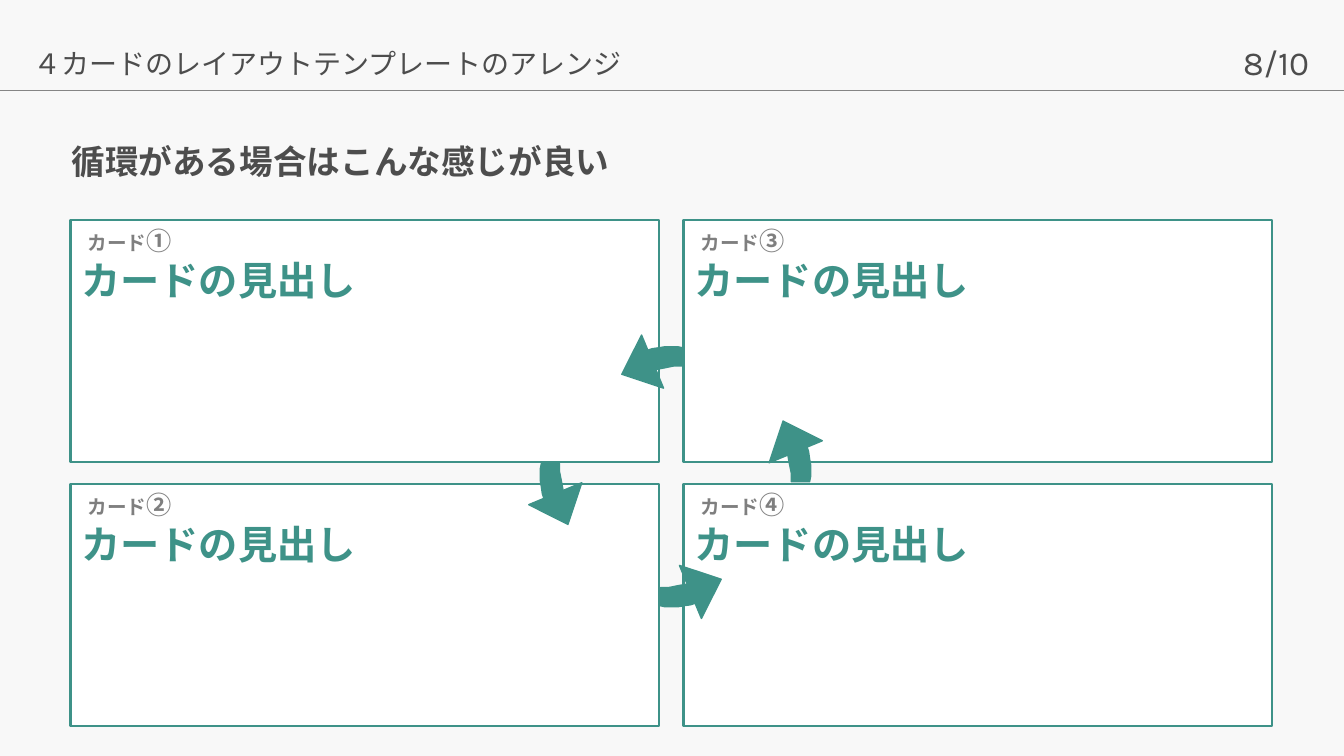
import pptx
import pptx.dml.color
import pptx.enum.shapes
import pptx.enum.text
import pptx.oxml
import pptx.oxml.ns
import pptx.util

PX = 9144  # 100 px to the inch
JAPANESE = "Noto Sans CJK JP"
TEAL, DARK, GREY = "3E9288", "4D4D4D", "7F7F7F"


def paint(shape, fill, line, width):
    shape.shadow.inherit = False
    shape.fill.solid()
    shape.fill.fore_color.rgb = pptx.dml.color.RGBColor.from_string(fill)
    shape.line.color.rgb = pptx.dml.color.RGBColor.from_string(line)
    shape.line.width = pptx.util.Pt(width)


def write(shape, text, size, color, font=JAPANESE, bold=False, wrap=False,
          spacing=None, anchor=pptx.enum.text.MSO_ANCHOR.TOP):
    frame = shape.text_frame
    frame.word_wrap = wrap
    frame.auto_size = pptx.enum.text.MSO_AUTO_SIZE.NONE
    frame.vertical_anchor = anchor
    paragraph = frame.paragraphs[0]
    paragraph.alignment = pptx.enum.text.PP_ALIGN.LEFT
    paragraph.line_spacing = spacing
    run = paragraph.add_run()
    run.text = text
    run.font.name = font
    run.font.size = pptx.util.Pt(size)
    run.font.bold = bold
    run.font.color.rgb = pptx.dml.color.RGBColor.from_string(color)
    east_asian = pptx.oxml.parse_xml(
        f'<a:ea {pptx.oxml.ns.nsdecls("a")} typeface="{font}"/>')
    run.font._element.find(pptx.oxml.ns.qn("a:latin")).addnext(east_asian)


presentation = pptx.Presentation()
presentation.slide_width = 1333 * PX
presentation.slide_height = 750 * PX
slide = presentation.slides.add_slide(presentation.slide_layouts[5])
shapes = slide.shapes
slide.background.fill.solid()
slide.background.fill.fore_color.rgb = pptx.dml.color.RGBColor.from_string("F8F8F8")

# Header with page number and rule
page_number = shapes.add_textbox(1223 * PX, 37 * PX, 111 * PX, 50 * PX)
write(page_number, "8/10", 24, DARK, font="Karla")
header = shapes.add_textbox(23 * PX, 38 * PX, 1253 * PX, 51 * PX)
write(header, "４カードのレイアウトテンプレートのアレンジ", 20, DARK, wrap=True, spacing=1.1)
rule = shapes.add_connector(pptx.enum.shapes.MSO_CONNECTOR.STRAIGHT,
                            0, 90 * PX, 1333 * PX, 90 * PX)
rule.line.color.rgb = pptx.dml.color.RGBColor.from_string("858585")
rule.line.width = pptx.util.Pt(1)
rule._element.spPr.append(
    pptx.oxml.parse_xml(f'<a:effectLst {pptx.oxml.ns.nsdecls("a")}/>'))

# Title
title = shapes.title
title.left, title.top, title.width, title.height = 61 * PX, 111 * PX, 1242 * PX, 103 * PX
write(title, "循環がある場合はこんな感じが良い", 24, DARK, bold=True, wrap=True,
      spacing=0.9, anchor=pptx.enum.text.MSO_ANCHOR.MIDDLE)

# Cards, numbered down each column
for index, number in enumerate("①②③④"):
    column, row = divmod(index, 2)
    left, top = 70 + 608 * column, 218 + 262 * row
    card = shapes.add_shape(pptx.enum.shapes.MSO_SHAPE.RECTANGLE,
                            left * PX, top * PX, 584 * PX, 240 * PX)
    paint(card, "FFFFFF", TEAL, 1.5)
    label = shapes.add_textbox((left + 7) * PX, (top + 1) * PX, 104 * PX, 40 * PX)
    write(label, "カード", 14, GREY, bold=True)
    write(label, number, 18, GREY, bold=True)
    heading = shapes.add_textbox((left + 1) * PX, (top + 31) * PX, 295 * PX, 57 * PX)
    write(heading, "カードの見出し", 28, TEAL, bold=True)

# Cycle arrows: each is the one before, turned a quarter turn anticlockwise
HEAD_WIDTH, HEAD_HEIGHT = 57, 33
TAIL = [(-16, -2), (-9, 17), (-15, 19), (-22, 20), (-28, 21), (-40, 21),
        (-45, 20), (-45, 2), (-37, 2), (-32, 1), (-27, 0)]
tail_points = TAIL
for turn, (x, y) in enumerate([(700, 581), (783, 433), (632, 365), (557, 505)]):
    head = shapes.add_shape(pptx.enum.shapes.MSO_SHAPE.ISOSCELES_TRIANGLE,
                            x * PX - HEAD_WIDTH * PX // 2, y * PX - HEAD_HEIGHT * PX // 2,
                            HEAD_WIDTH * PX, HEAD_HEIGHT * PX)
    head.rotation = (67.5 - 90 * turn) % 360
    outline = [(x + dx, y + dy) for dx, dy in tail_points]
    builder = shapes.build_freeform(*outline[0], scale=PX)
    builder.add_line_segments(outline[1:], close=True)
    tail = builder.convert_to_shape()
    for part in (head, tail):
        paint(part, TEAL, TEAL, 1)
    shapes.add_group_shape([head, tail])
    tail_points = [(dy, -dx) for dx, dy in tail_points]

presentation.save("out.pptx")
